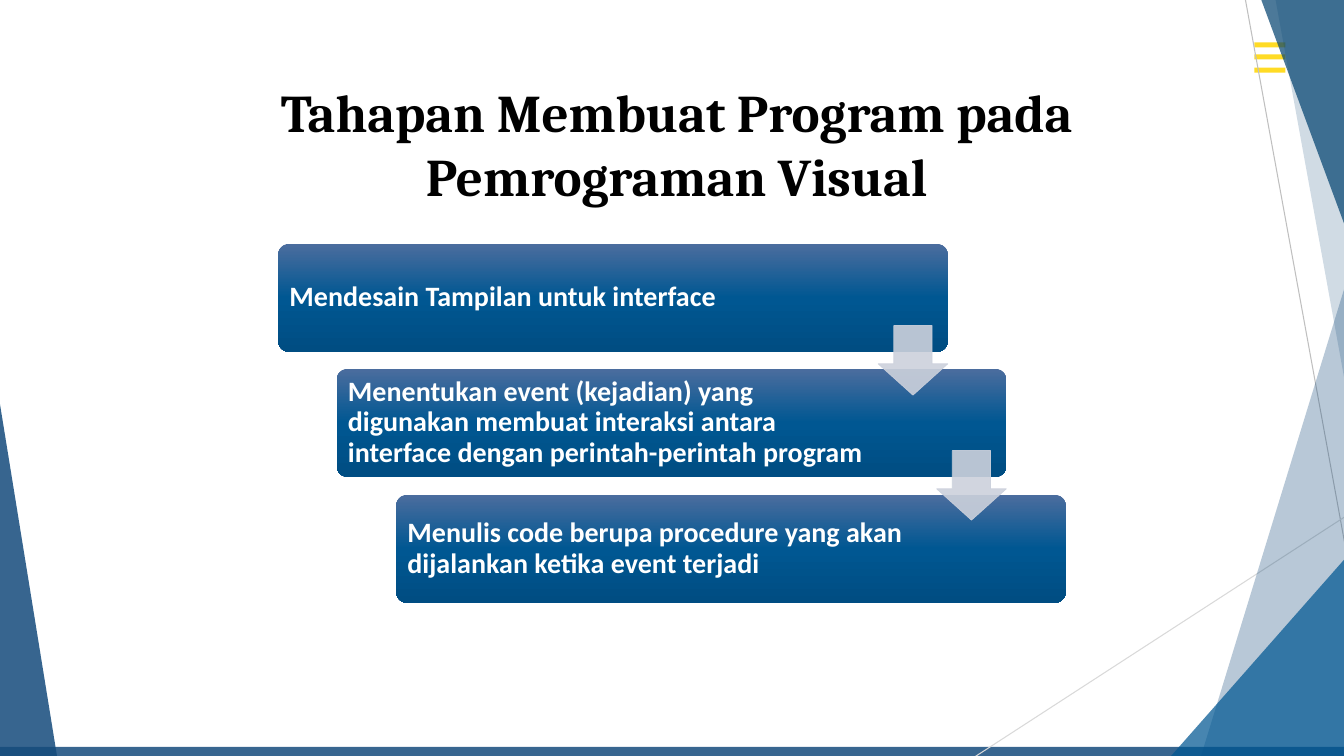
from copy import deepcopy

from lxml.etree import SubElement
from pptx import Presentation
from pptx.dml.color import RGBColor
from pptx.enum.shapes import MSO_CONNECTOR as Connector, MSO_SHAPE as Shape
from pptx.enum.text import MSO_ANCHOR as Anchor, PP_ALIGN as Align
from pptx.oxml.ns import qn
from pptx.util import Pt

PX = 9144  # EMU in one px, 100 px to the inch
COLORS = {
    "footer": "386690", "menu": "FFDB25", "line": "BFBFBF", "pale line": "D9D9D9",
    "navy": "154B7C", "blue": "005792", "deep": "00416E", "arrow": "CCD1DC",
    "card top": "4B6D9E", "card bottom": "004D82", "title": "000000", "white": "FFFFFF",
}


def rgb(name):
    return RGBColor.from_string(COLORS[name])


class Deck:
    title_font, body_font = "Cambria", "Calibri"

    def __init__(self, width, height):
        self.file = Presentation()
        self.file.slide_width, self.file.slide_height = width * PX, height * PX
        self.slide = self.file.slides.add_slide(self.file.slide_layouts[6])
        self.shapes = self.slide.shapes

    def paint(self, shape, color, opacity=100, outline=None):
        shape.shadow.inherit = False
        shape.fill.solid()
        shape.fill.fore_color.rgb = rgb(color)
        if outline:
            shape.line.width = Pt(outline)
            shape.line.color.rgb = rgb(color)
        else:
            shape.line.fill.background()
        if opacity < 100:
            for tint in shape._element.spPr.iter(qn("a:srgbClr")):
                SubElement(tint, qn("a:alpha")).set("val", str(opacity * 1000))

    def preset(self, kind, box, color, opacity=100, adjust=(), outline=None):
        shape = self.shapes.add_shape(kind, *(v * PX for v in box))
        for i, value in enumerate(adjust):
            shape.adjustments[i] = value
        self.paint(shape, color, opacity, outline)
        return shape

    def polygon(self, points, color, opacity):
        builder = self.shapes.build_freeform(*points[0], scale=PX)
        builder.add_line_segments(points[1:], close=True)
        self.paint(builder.convert_to_shape(), color, opacity)

    def line(self, start, end, color):
        connector = self.shapes.add_connector(
            Connector.STRAIGHT, *(v * PX for v in start + end))
        connector.line.color.rgb = rgb(color)
        connector.line.width = Pt(0.75)
        SubElement(connector._element.spPr, qn("a:effectLst"))

    def label(self, shape, text, font, size, color, align):
        frame = shape.text_frame
        frame.word_wrap = True
        frame.vertical_anchor = Anchor.MIDDLE
        paragraph = frame.paragraphs[0]
        paragraph.text = text
        paragraph.alignment = align
        style = paragraph.font
        style.name, style.size, style.bold = font, Pt(size), True
        style.color.rgb = rgb(color)
        return frame

    def title(self, box, text):
        heading = self.shapes.add_textbox(*(v * PX for v in box))
        self.label(heading, text, self.title_font, 37.8, "title", Align.CENTER)

    def card(self, box, text):
        card = self.preset(Shape.ROUNDED_RECTANGLE, box, "blue", adjust=[0.1])
        card.fill.gradient()
        card.fill.gradient_angle = 270
        stops = card._element.spPr.find(qn("a:gradFill")).find(qn("a:gsLst"))
        stops.append(deepcopy(stops[-1]))
        shades = [(0, "card top"), (0.5, "blue"), (1, "card bottom")]
        for stop, (position, color) in zip(card.fill.gradient_stops, shades):
            stop.position, stop.color.rgb = position, rgb(color)
        frame = self.label(card, text, self.body_font, 20, "white", Align.LEFT)
        frame.margin_left = frame.margin_top = frame.margin_bottom = 8 * PX
        frame.margin_right = 136 * PX  # keeps the text clear of the arrow
        frame.paragraphs[0].line_spacing = 0.9


def main():
    deck = Deck(1333, 750)

    # Footer bar and menu mark
    deck.preset(Shape.RECTANGLE, (0, 741, 1333, 25), "footer")
    for i in range(3):
        deck.preset(Shape.RECTANGLE, (1244, 42 + 25 * i // 2, 31, 5), "menu")

    # Facets along the sides
    top, bottom, right = -111, 754, 1580
    deck.line((1215, top), (1373, bottom), "line")
    deck.line((right, 353), (962, bottom), "pale line")
    deck.polygon([(1455, top), (right, top), (right, bottom), (1190, bottom)], "navy", 30)
    deck.polygon([(1245, top), (right, top), (right, bottom), (1402, bottom)], "navy", 20)
    deck.preset(Shape.ISOSCELES_TRIANGLE, (1158, 274, 423, 480), "blue", 72, [1])
    deck.polygon([(1210, top), (right, top), (right, bottom), (1530, bottom)], "deep", 70)
    deck.preset(Shape.ISOSCELES_TRIANGLE, (-1, 395, 58, 358), "navy", 85, [0])

    # Title
    deck.title((245, 73, 852, 138), "Tahapan Membuat Program pada Pemrograman Visual")

    # Staircase of steps
    steps = [
        "Mendesain Tampilan untuk interface",
        "Menentukan event (kejadian) yang digunakan membuat interaksi antara "
        "interface dengan perintah-perintah program",
        "Menulis code berupa procedure yang akan dijalankan ketika event terjadi",
    ]
    width, height, arrow = 664, 107, 69
    corners = [(276 + 117 * i // 2, 242 + 249 * i // 2) for i in range(len(steps))]
    for (left, upper), step in zip(corners, steps):
        deck.card((left, upper, width, height), step)

    # Arrows from each step to the next
    for left, upper in corners[:-1]:
        box = (left + width - arrow, upper + height - 26, arrow, arrow)
        deck.preset(Shape.DOWN_ARROW, box, "arrow", 90, [0.55, 0.45], outline=0.5)

    deck.file.save("out.pptx")


if __name__ == "__main__":
    main()
